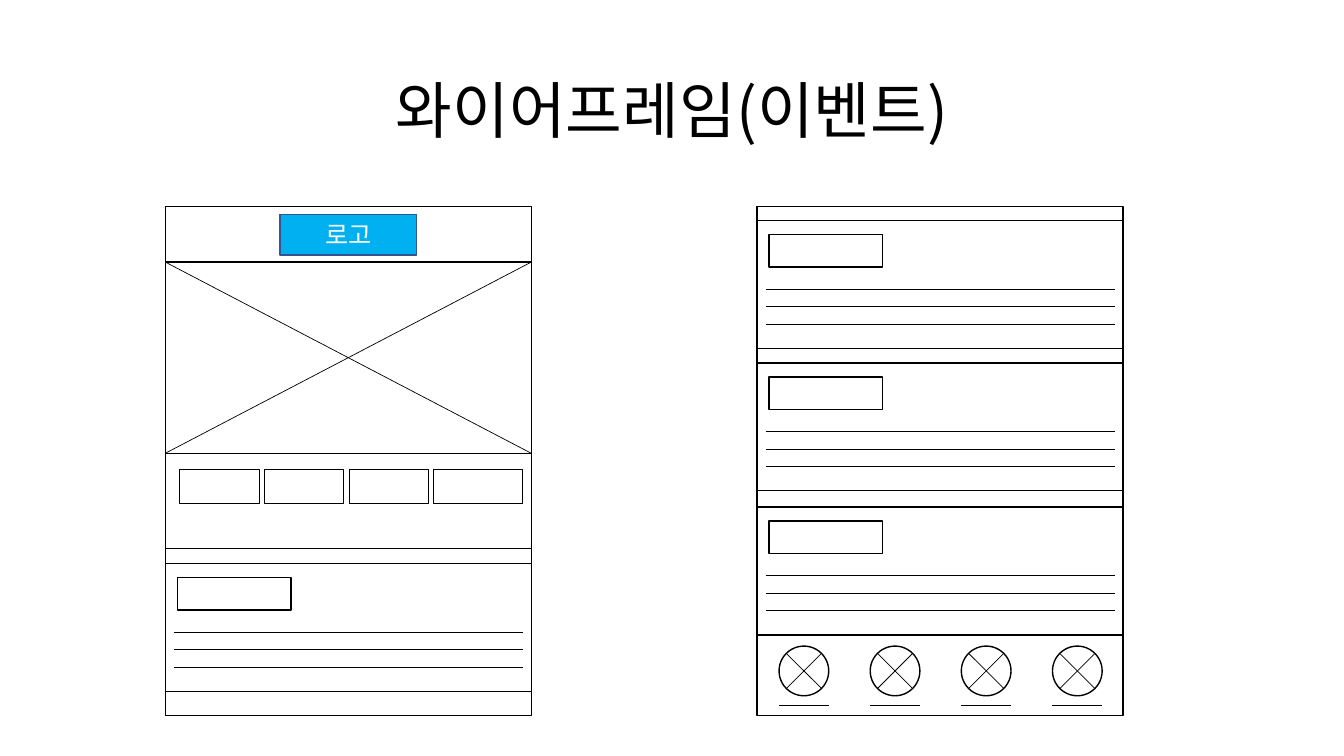
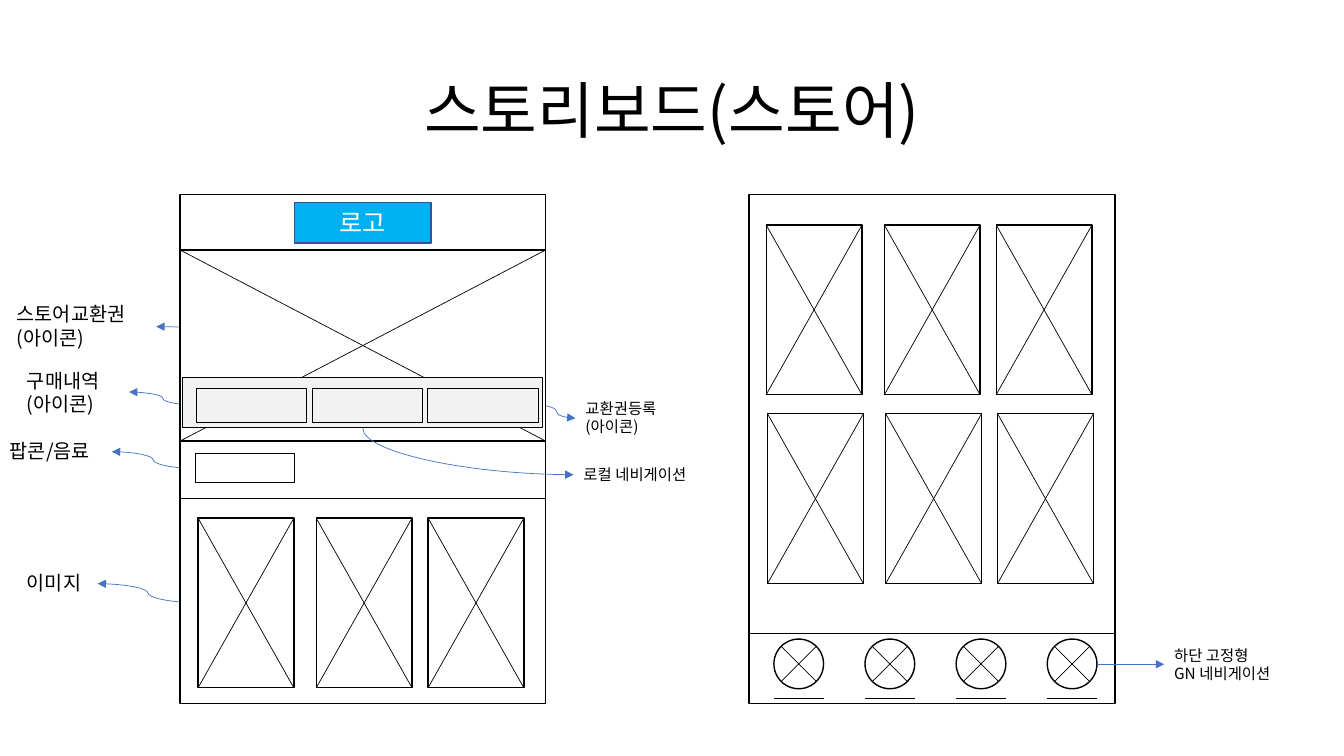
from dataclasses import dataclass

from lxml import etree
from pptx import Presentation
from pptx.dml.color import RGBColor
from pptx.enum import shapes, text
from pptx.oxml import ns
from pptx.util import Pt


@dataclass(frozen=True)
class Theme:
    font: str = "Noto Sans CJK KR"
    ink: str = "000000"
    paper: str = "FFFFFF"
    bar: str = "F2F2F2"
    logo: str = "00B0F0"
    logo_edge: str = "325491"
    arrow: str = "4472C4"
    title: float = 44
    logo_text: float = 18
    label: float = 14
    small: float = 11
    outline: float = 1
    thin: float = 0.75
    hair: float = 0.5


T = Theme()
SLIDE_W, SLIDE_H = 960, 540
PHONE_W, PHONE_H = 261.4, 363.6
CARD_W, CARD_H = 68.4, 121.2
CARD_XS = (13, 97.4, 177.3)
HEADER_H, HERO_H = 39.6, 136.6
MSO = shapes.MSO_SHAPE
LINE = shapes.MSO_CONNECTOR


def rgb(value):
    return RGBColor.from_string(value)


def write(tf, content, size, color, align=text.PP_ALIGN.LEFT):
    tf.text = content
    tf.word_wrap = True
    for p in tf.paragraphs:
        p.alignment = align
        for r in p.runs:
            r.font.size = Pt(size)
            r.font.name = T.font
            r.font.color.rgb = rgb(color)
            ea = etree.SubElement(r.font._element, ns.qn("a:ea"))
            ea.set("typeface", T.font)


def add_box(slide, x, y, w, h, fill=T.paper, edge=T.ink, width=T.outline,
            kind=MSO.RECTANGLE):
    sp = slide.shapes.add_shape(kind, Pt(x), Pt(y), Pt(w), Pt(h))
    sp.shadow.inherit = False
    if fill:
        sp.fill.solid()
        sp.fill.fore_color.rgb = rgb(fill)
    else:
        sp.fill.background()
    sp.line.color.rgb = rgb(edge)
    sp.line.width = Pt(width)
    return sp


def add_line(slide, x1, y1, x2, y2, color=T.ink, kind=LINE.STRAIGHT):
    cx = slide.shapes.add_connector(kind, Pt(x1), Pt(y1), Pt(x2), Pt(y2))
    cx.line.color.rgb = rgb(color)
    cx.line.width = Pt(T.hair)
    etree.SubElement(cx._element.spPr, ns.qn("a:effectLst"))
    return cx


def add_cross(slide, x, y, w, h):
    add_line(slide, x, y, x + w, y + h)
    add_line(slide, x + w, y, x, y + h)


def add_title(slide, content):
    box = slide.shapes.add_textbox(Pt(66), Pt(28.8), Pt(828), Pt(104.4))
    tf = box.text_frame
    write(tf, content, T.title, T.ink, text.PP_ALIGN.CENTER)
    tf.vertical_anchor = text.MSO_ANCHOR.MIDDLE
    tf.paragraphs[0].line_spacing = 0.9


def add_label(slide, x, y, w, h, content, size):
    box = slide.shapes.add_textbox(Pt(x), Pt(y), Pt(w), Pt(h))
    write(box.text_frame, content, size, T.ink)


def add_callout(slide, tip, source, quarter=False):
    """Curve whose arrowhead is at tip; a quarter curve has one bend only."""
    cx = add_line(slide, *tip, *source, color=T.arrow, kind=LINE.CURVE)
    if quarter:
        geom = cx._element.spPr.find(ns.qn("a:prstGeom"))
        geom.set("prst", "curvedConnector2")
    ln = cx._element.spPr.find(ns.qn("a:ln"))
    etree.SubElement(ln, ns.qn("a:headEnd")).set("type", "triangle")


def add_phone(slide, x, y):
    add_box(slide, x, y, PHONE_W, PHONE_H)


def add_header(slide, x, y):
    """Logo and crossed hero area at the top of a phone."""
    logo = add_box(slide, x + 82, y + 5.6, 97.4, 29, T.logo, T.logo_edge)
    write(logo.text_frame, "로고", T.logo_text, T.paper, text.PP_ALIGN.CENTER)
    logo.text_frame.vertical_anchor = text.MSO_ANCHOR.MIDDLE
    add_box(slide, x, y + HEADER_H, PHONE_W, HERO_H)
    add_cross(slide, x, y + HEADER_H, PHONE_W, HERO_H)


def add_section(slide, x, y):
    """Heading box over three lines of body copy."""
    add_box(slide, x, y, PHONE_W, 91.4)
    add_box(slide, x + 8.7, y + 10, 81, 23.2)
    for i in range(3):
        line_y = y + 49 + 12.5 * i
        add_line(slide, x + 6.4, line_y, x + 255.4, line_y)


def add_card(slide, x, y):
    add_box(slide, x, y, CARD_W, CARD_H)
    add_cross(slide, x, y, CARD_W, CARD_H)


def add_icon_bar(slide, x, y):
    size, pitch, inset = 35.5, 65.1, 5.2
    for i in range(4):
        left = x + i * pitch
        add_box(slide, left, y, size, size, kind=MSO.OVAL)
        add_cross(slide, left + inset, y + inset,
                  size - 2 * inset, size - 2 * inset)
        add_line(slide, left, y + 42, left + size, y + 42)


def add_event_home(slide, x, y):
    add_phone(slide, x, y)
    add_header(slide, x, y)
    add_line(slide, x, y + 244, x + PHONE_W, y + 244)
    add_section(slide, x, y + 254.9)
    for i, width in enumerate((57, 57, 57, 63.5)):
        add_box(slide, x + 10 + 60.6 * i, y + 188, width, 24.3,
                fill=None, width=T.thin)


def add_event_list(slide, x, y):
    add_phone(slide, x, y)
    for top in (10, 111.6, 214.6):
        add_section(slide, x, y + top)
    add_icon_bar(slide, x + 15.8, y + 313.9)


def add_store_home(slide, x, y):
    add_phone(slide, x, y)
    add_header(slide, x, y)
    add_box(slide, x + 11.2, y + 185.2, 70.8, 20.6)
    add_line(slide, x, y + 217.4, x + PHONE_W, y + 217.4)
    for left in CARD_XS:
        add_card(slide, x + left, y + 231.2)
    add_box(slide, x + 2, y + 131, 257.2, 35.6, T.bar)
    for i in range(3):
        add_box(slide, x + 12 + 82.6 * i, y + 138.3, 78.8, 24.4,
                fill=None, width=T.thin)


def add_store_list(slide, x, y):
    add_phone(slide, x, y)
    for row in range(2):
        for left in CARD_XS:
            add_card(slide, x + left - 0.7 + row, y + 21.8 + 134.9 * row)
    add_line(slide, x, y + 313.2, x + PHONE_W, y + 313.2)
    add_icon_bar(slide, x + 17.8, y + 317.6)


def build_event(slide):
    add_title(slide, "와이어프레임(이벤트)")
    add_event_list(slide, 540.7, 147.6)
    add_event_home(slide, 118.1, 147.6)


def build_store(slide):
    add_title(slide, "스토리보드(스토어)")
    add_callout(slide, (92.2, 280), (140.4, 289.4))
    add_callout(slide, (411.1, 298.8), (384.5, 289.4))
    add_callout(slide, (79.9, 322.6), (139, 334.6))
    add_callout(slide, (69.8, 416.9), (141.8, 430.6))
    add_callout(slide, (111.6, 233.3), (262, 277.2), quarter=True)
    add_store_list(slide, 535, 138.9)
    add_store_home(slide, 128.5, 138.9)
    add_callout(slide, (831.6, 474.5), (783.4, 474.5))
    add_callout(slide, (409.7, 339.1), (259.2, 306), quarter=True)
    labels = (
        (5, 212.4, 105.8, 41, "스토어교환권\n(아이콘)", T.label),
        (12.2, 259.9, 79.9, 41, "구매내역\n(아이콘)", T.label),
        (0, 310.3, 79.9, 24.5, "팝콘/음료", T.label),
        (12.2, 404.6, 57.6, 24.5, "이미지", T.label),
        (411.1, 281.5, 69.8, 33.8, "교환권등록\n(아이콘)", T.small),
        (409.7, 329, 99.4, 20.9, "로컬 네비게이션", T.small),
        (831.6, 457.9, 89.3, 33.8, "하단 고정형\nGN 네비게이션", T.small),
    )
    for label in labels:
        add_label(slide, *label)


def main():
    prs = Presentation()
    prs.slide_width, prs.slide_height = Pt(SLIDE_W), Pt(SLIDE_H)
    for build in (build_event, build_store):
        build(prs.slides.add_slide(prs.slide_layouts[6]))
    prs.save("out.pptx")


if __name__ == "__main__":
    main()
